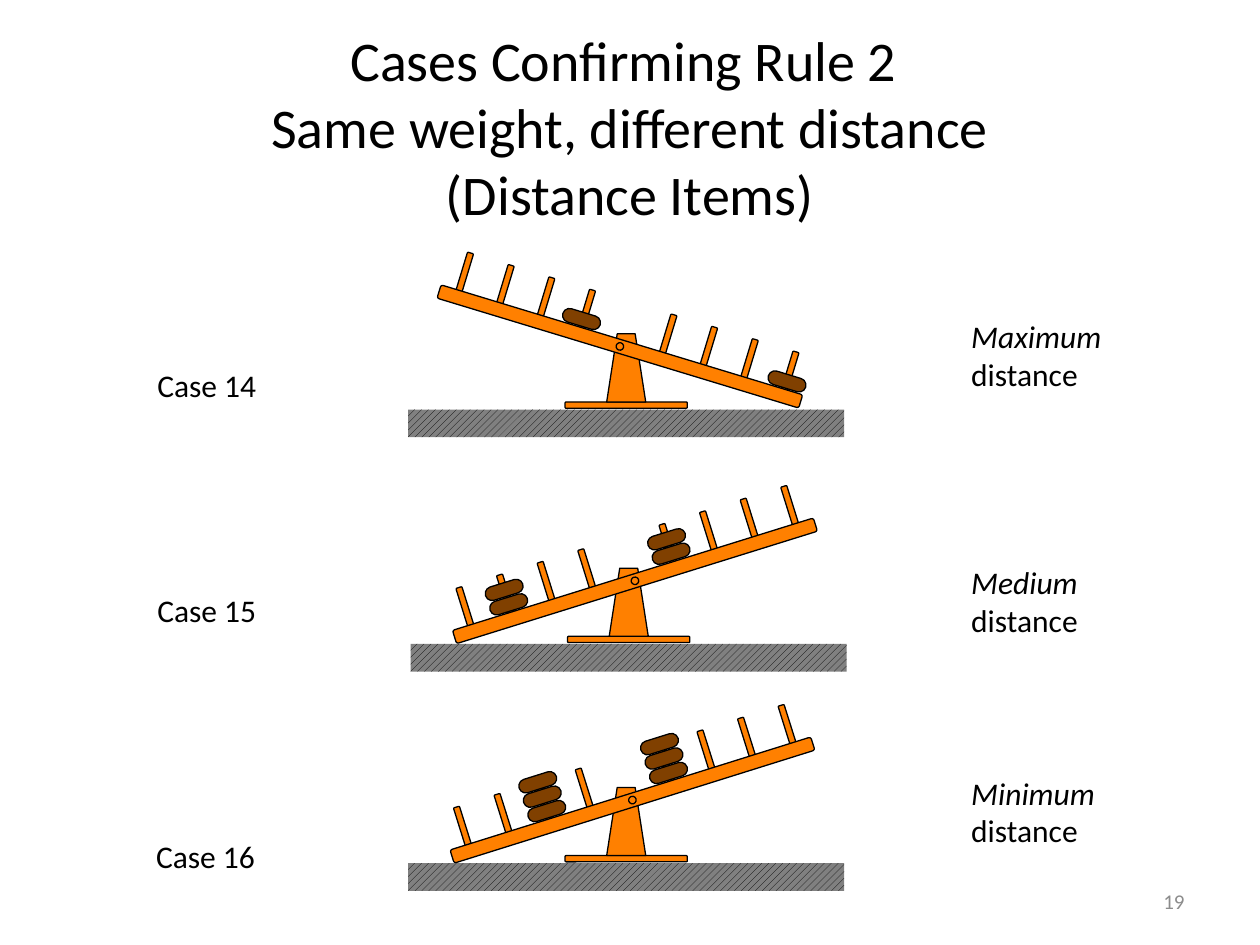
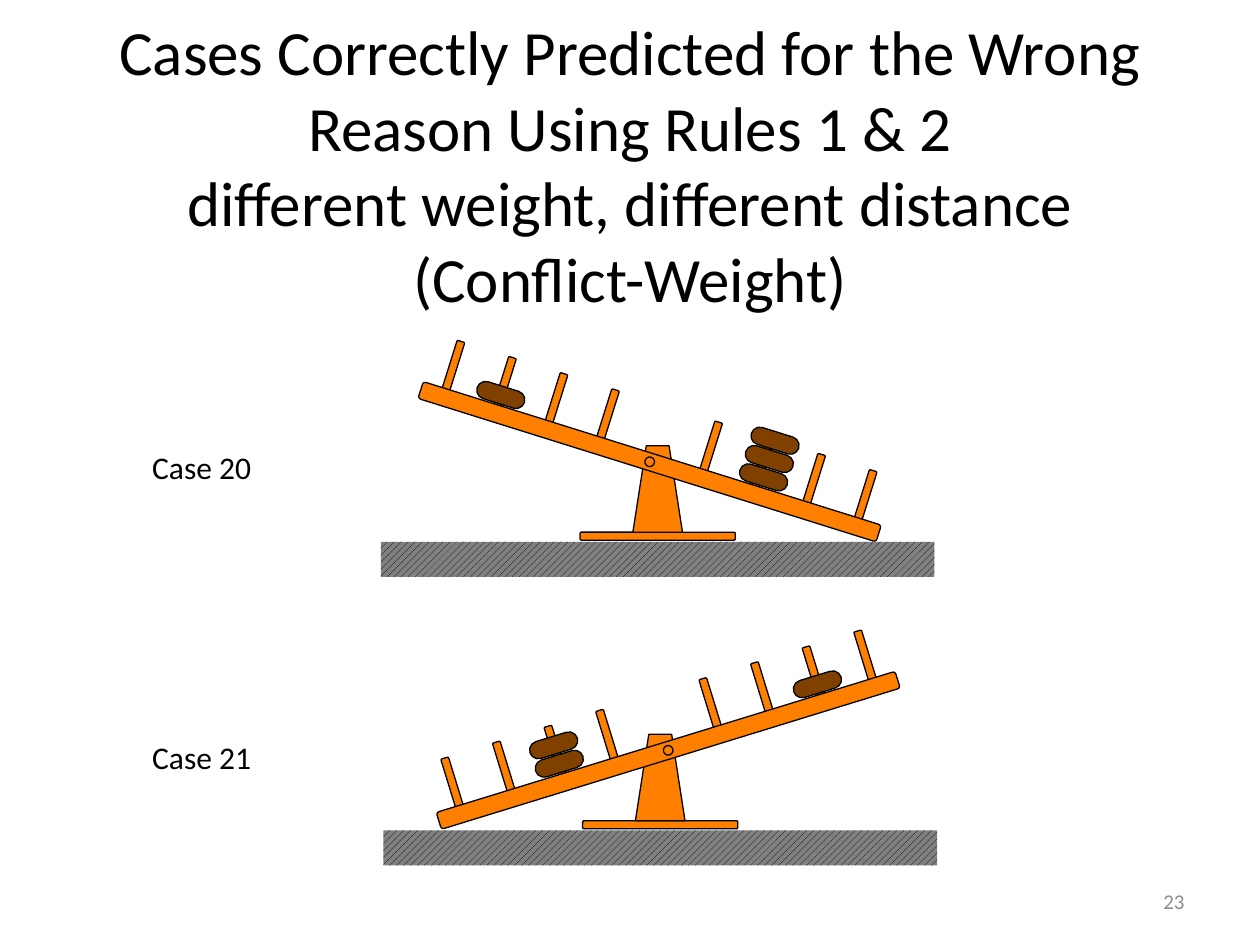
from math import cos, radians, sin

from pptx import Presentation
from pptx.dml.color import RGBColor
from pptx.enum.dml import MSO_PATTERN
from pptx.enum.shapes import MSO_SHAPE as SHAPE
from pptx.enum.text import MSO_ANCHOR as ANCHOR, PP_ALIGN as ALIGN
from pptx.util import Inches, Pt

# Each scale: center x and ground top in inches, size factor, tilt in degrees
# (positive = right side down), weights as (peg, count); left pegs are negative.
SLIDES = [
    {
        "title": ["Cases Confirming Rule 2 ", "Same weight, different distance",
                  "(Distance Items)"],
        "title_top": 0, "title_size": 32, "number": "19",
        "cases": [
            {"label": "Case 14", "label_at": (1.15, 2.86),
             "distance": "Maximum", "distance_top": 2.47,
             "scale": (4.97, 3.25, 1, 16.9), "weights": [(-1.05, 1), (4, 1)]},
            {"label": "Case 15", "label_at": (1.15, 4.64),
             "distance": "Medium", "distance_top": 4.42,
             "scale": (4.99, 5.11, 1, -17.3), "weights": [(-3, 2), (1, 2)]},
            {"label": "Case 16", "label_at": (1.14, 6.59),
             "distance": "Minimum", "distance_top": 6.09,
             "scale": (4.97, 6.85, 1, -17.4), "weights": [(-2, 3), (1, 3)]},
        ],
    },
    {
        "title": ["Cases Correctly Predicted for the Wrong Reason Using Rules 1 & 2",
                  "different weight, different distance", "(Conflict-Weight)"],
        "title_top": 0.3, "title_size": 36, "number": "23",
        "cases": [
            {"label": "Case 20", "label_at": (1.11, 3.51),
             "scale": (5.22, 4.3, 1.27, 17.4), "weights": [(-3, 1), (2.1, 3)]},
            {"label": "Case 21", "label_at": (1.11, 5.81),
             "scale": (5.24, 6.59, 1.27, -17.1), "weights": [(-2, 2), (3, 1)]},
        ],
    },
]

FONT = "Calibri"
BLACK = RGBColor(0x00, 0x00, 0x00)
ORANGE = RGBColor(0xFF, 0x80, 0x00)
BROWN = RGBColor(0x80, 0x40, 0x00)
GRAY = RGBColor(0x80, 0x80, 0x80)
NUMBER_GRAY = RGBColor(0x8C, 0x8C, 0x8C)

# Part sizes (width, height) at size factor 1
GROUND, BASE, POST = (3.46, 0.22), (0.97, 0.05), (0.31, 0.54)
BEAM, PEG, WEIGHT, PIVOT = (3, 0.11), (0.05, 0.33), (0.31, 0.11), (0.06, 0.06)
BASE_RISE = 0.06       # base top above the ground
PIVOT_RISE = 0.5       # beam center above the ground
PIVOT_SHIFT = 0.05     # beam center moves away from the heavy side
PEG_GAP = 1.35 / 4
PEG_RISE, WEIGHT_RISE, WEIGHT_STEP = 0.2, 0.12, 0.12


def add_text(s, box, lines, size, color=BLACK, align=ALIGN.LEFT,
             anchor=ANCHOR.TOP, wrap=True):
    """Add one paragraph; each line is a list of (text, italic) runs."""
    tf = s.shapes.add_textbox(*(Inches(v) for v in box)).text_frame
    tf.word_wrap = wrap
    tf.vertical_anchor = anchor
    p = tf.paragraphs[0]
    p.alignment = align
    for i, runs in enumerate(lines):
        if i:
            p.add_line_break()
        for text, italic in runs:
            r = p.add_run()
            r.text = text
            r.font.name, r.font.size = FONT, Pt(size)
            r.font.italic = italic
            r.font.color.rgb = color


def add_part(group, kind, center, size, factor, color=ORANGE, angle=0, adj=None):
    w, h = (v * factor for v in size)
    x, y = center
    sp = group.shapes.add_shape(kind, Inches(x - w / 2), Inches(y - h / 2),
                                Inches(w), Inches(h))
    sp.rotation = angle
    sp.shadow.inherit = False
    sp.fill.solid()
    sp.fill.fore_color.rgb = color
    sp.line.color.rgb = BLACK
    sp.line.width = Pt(0.75)
    if adj is not None:
        sp.adjustments[0] = adj
    return sp


def add_balance_scale(s, x, ground_top, factor, angle, weights):
    group = s.shapes.add_group_shape()
    side = -1 if angle > 0 else 1
    pivot = (x + side * PIVOT_SHIFT * factor, ground_top - PIVOT_RISE * factor)
    dx, dy = cos(radians(angle)), sin(radians(angle))

    def above_ground(rise):
        return x, ground_top - rise * factor

    def on_beam(peg, rise):
        """Point over a peg position, measured square to the tilted beam."""
        along = peg * PEG_GAP
        return (pivot[0] + (along * dx + rise * dy) * factor,
                pivot[1] + (along * dy - rise * dx) * factor)

    add_part(group, SHAPE.ROUNDED_RECTANGLE, above_ground(BASE_RISE - BASE[1] / 2),
             BASE, factor)
    add_part(group, SHAPE.TRAPEZOID, above_ground(BASE_RISE + POST[1] / 2),
             POST, factor, adj=0.27)
    ground = add_part(group, SHAPE.RECTANGLE, above_ground(-GROUND[1] / 2),
                      GROUND, factor)
    ground.fill.patterned()
    ground.fill.pattern = MSO_PATTERN.WIDE_UPWARD_DIAGONAL
    ground.fill.fore_color.rgb = BLACK
    ground.fill.back_color.rgb = GRAY
    ground.line.fill.background()

    for peg in (-4, -3, -2, -1, 1, 2, 3, 4):
        add_part(group, SHAPE.ROUNDED_RECTANGLE, on_beam(peg, PEG_RISE), PEG,
                 factor, angle=angle)
    add_part(group, SHAPE.ROUNDED_RECTANGLE, pivot, BEAM, factor, angle=angle)
    for peg, count in weights:
        for level in range(count):
            add_part(group, SHAPE.ROUNDED_RECTANGLE,
                     on_beam(peg, WEIGHT_RISE + level * WEIGHT_STEP),
                     WEIGHT, factor, BROWN, angle, 0.5)
    add_part(group, SHAPE.OVAL, pivot, PIVOT, factor, angle=angle)


def add_case(s, case):
    add_text(s, (*case["label_at"], 0.99, 0.4), [[(case["label"], False)]], 18,
             wrap=False)
    if "distance" in case:
        add_text(s, (7.61, case["distance_top"], 1.89, 0.71),
                 [[(case["distance"], True), (" distance", False)]], 18)
    add_balance_scale(s, *case["scale"], case["weights"])


def main():
    prs = Presentation()
    prs.slide_width, prs.slide_height = Inches(10), Inches(7.5)
    for content in SLIDES:
        s = prs.slides.add_slide(prs.slide_layouts[6])
        add_text(s, (0.5, content["title_top"], 9, 2),
                 [[(line, False)] for line in content["title"]],
                 content["title_size"], align=ALIGN.CENTER, anchor=ANCHOR.MIDDLE)
        for case in content["cases"]:
            add_case(s, case)
        add_text(s, (7.17, 6.95, 2.33, 0.4), [[(content["number"], False)]], 12,
                 NUMBER_GRAY, ALIGN.RIGHT, ANCHOR.MIDDLE)
    prs.save("out.pptx")


if __name__ == "__main__":
    main()
